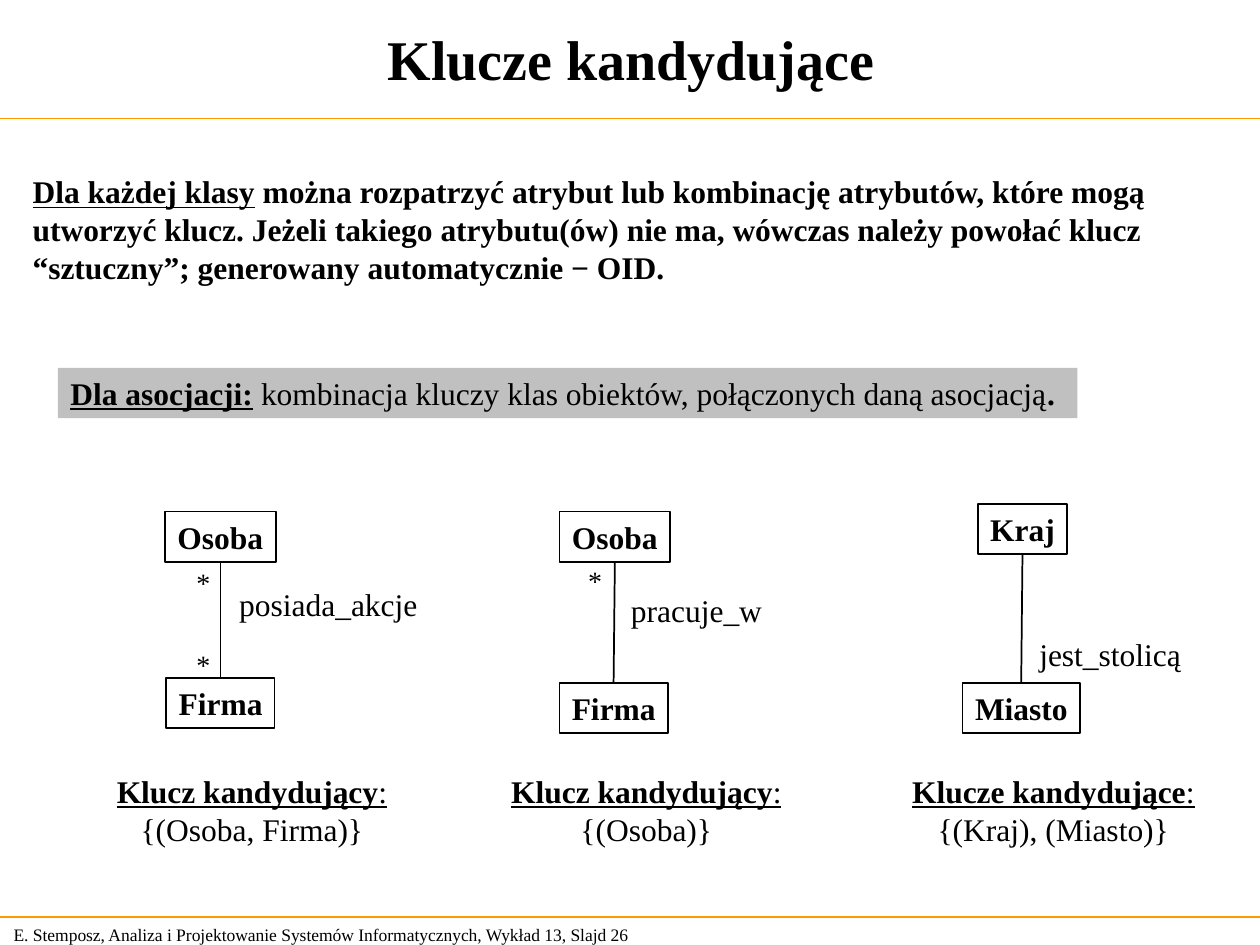
from dataclasses import dataclass

from lxml.etree import SubElement
from pptx import Presentation
from pptx.dml.color import RGBColor
from pptx.enum.shapes import MSO_CONNECTOR as Connector, MSO_SHAPE as Shape
from pptx.enum.text import MSO_ANCHOR as Anchor, MSO_AUTO_SIZE as AutoSize, PP_ALIGN as Align
from pptx.oxml.ns import qn
from pptx.util import Inches, Pt

COLORS = {"text": "000000", "box": "FFFFFF", "band": "C0C0C0", "rule": "FF9900"}
FONT = "Times New Roman"
SLIDE_WIDTH, SLIDE_HEIGHT = 10, 7.5
LINE_HEIGHT = 0.4
KEY_TOP = 6.08
MARGIN, TIGHT_MARGIN = 0.1, 0.04


@dataclass(frozen=True)
class Run:
    text: str
    bold: bool = False
    underline: bool = False


@dataclass(frozen=True)
class Box:
    text: str
    left: float
    top: float
    width: float


@dataclass(frozen=True)
class Association:
    source: Box
    target: Box
    role: Box
    stars: tuple[tuple[float, float], ...]
    key_heading: Box
    key: str


def color(name: str) -> RGBColor:
    return RGBColor.from_string(COLORS[name])


def add_text(slide, paragraphs: list[list[Run]], left: float, top: float, width: float,
             height: float = LINE_HEIGHT, *, size: int = 18, align=Align.LEFT, anchor=Anchor.TOP,
             wrap: bool = False, grow: bool = True, fill: str = "", outline: str = ""):
    area = [Inches(value) for value in (left, top, width, height)]
    if fill:
        holder = slide.shapes.add_shape(Shape.RECTANGLE, *area)
        holder.shadow.inherit = False
        holder.fill.solid()
        holder.fill.fore_color.rgb = color(fill)
        if outline:
            holder.line.color.rgb = color(outline)
            holder.line.width = Pt(1)
        else:
            holder.line.fill.background()
    else:
        holder = slide.shapes.add_textbox(*area)
    frame = holder.text_frame
    frame.word_wrap = wrap
    frame.auto_size = AutoSize.SHAPE_TO_FIT_TEXT if grow else AutoSize.NONE
    frame.vertical_anchor = anchor
    right_margin = MARGIN if wrap else TIGHT_MARGIN
    frame.margin_right = Inches(right_margin)
    frame.margin_left = Inches(right_margin if align == Align.CENTER else MARGIN)
    for index, runs in enumerate(paragraphs):
        paragraph = frame.add_paragraph() if index else frame.paragraphs[0]
        paragraph.alignment = align
        for part in runs:
            run = paragraph.add_run()
            run.text = part.text
            run.font.name = FONT
            run.font.size = Pt(size)
            run.font.bold = part.bold
            run.font.underline = part.underline
            run.font.color.rgb = color("text")
    return holder


def add_line(slide, start: tuple[float, float], end: tuple[float, float], stroke: str = "text"):
    line = slide.shapes.add_connector(
        Connector.STRAIGHT, *(Inches(value) for value in (*start, *end)))
    line.line.color.rgb = color(stroke)
    line.line.width = Pt(1)
    SubElement(line._element.spPr, qn("a:effectLst"))
    return line


def add_class(slide, box: Box):
    return add_text(slide, [[Run(box.text, bold=True)]], box.left, box.top, box.width,
                    fill="box", outline="text")


def add_association(slide, item: Association) -> None:
    source = add_class(slide, item.source)
    target = add_class(slide, item.target)
    link = add_line(slide, (item.source.left, item.source.top), (item.target.left, item.target.top))
    link.begin_connect(source, 2)
    link.end_connect(target, 0)
    role, heading = item.role, item.key_heading
    add_text(slide, [[Run(role.text)]], role.left, role.top, role.width)
    for left, top in item.stars:
        add_text(slide, [[Run("*")]], left, top, 0.31, 0.37, size=16)
    add_text(slide, [[Run(heading.text, True, True), Run(":", underline=True)], [Run(item.key)]],
             heading.left, heading.top, heading.width, 0.7, align=Align.CENTER)


ASSOCIATIONS = [
    Association(Box("Osoba", 1.31, 4.06, 0.88), Box("Firma", 1.32, 5.38, 0.86),
                Box("posiada_akcje", 1.8, 4.59, 1.61), ((1.46, 4.44), (1.46, 5.09)),
                Box("Klucz kandydujący", 0.83, KEY_TOP, 2.34), "{(Osoba, Firma)}"),
    Association(Box("Osoba", 4.44, 4.06, 0.88), Box("Firma", 4.44, 5.42, 0.86),
                Box("pracuje_w", 4.91, 4.64, 1.24), ((4.57, 4.42),),
                Box("Klucz kandydujący", 3.96, KEY_TOP, 2.34), "{(Osoba)}"),
    Association(Box("Kraj", 7.76, 4, 0.71), Box("Miasto", 7.64, 5.42, 0.93),
                Box("jest_stolicą", 8.15, 4.99, 1.32), (),
                Box("Klucze kandydujące", 7.14, KEY_TOP, 2.44), "{(Kraj), (Miasto)}"),
]


def main() -> None:
    deck = Presentation()
    deck.slide_width, deck.slide_height = Inches(SLIDE_WIDTH), Inches(SLIDE_HEIGHT)
    slide = deck.slides.add_slide(deck.slide_layouts[6])

    add_text(slide, [[Run("E. Stemposz, Analiza i Projektowanie Systemów Informatycznych, "
                          "Wykład 13, Slajd 26")]],
             0.01, 7.28, 5.24, 0.27, size=10, anchor=Anchor.MIDDLE, wrap=True)
    for height in (0.94, 7.28):
        add_line(slide, (0, height), (SLIDE_WIDTH, height), "rule")
    add_text(slide, [[Run("Klucze kandydujące", bold=True)]], 0, 0, 10.02, 0.92, size=32,
             align=Align.CENTER, anchor=Anchor.MIDDLE, wrap=True, grow=False)

    add_text(slide, [[Run("Dla każdej klasy", True, True),
                      Run(" można rozpatrzyć atrybut lub kombinację atrybutów, które mogą "
                          "utworzyć klucz. Jeżeli takiego atrybutu(ów) nie ma, wówczas należy "
                          "powołać klucz “sztuczny”; generowany automatycznie − OID.", True)]],
             0.16, 1.32, 9.32, 1, wrap=True)
    add_text(slide, [[Run("Dla asocjacji:", True, True), Run(" ", True),
                      Run("kombinacja kluczy klas obiektów, połączonych daną asocjacją"),
                      Run(".", True)]],
             0.46, 2.92, 8.09, fill="band")

    for association in ASSOCIATIONS:
        add_association(slide, association)
    deck.save("out.pptx")


if __name__ == "__main__":
    main()
